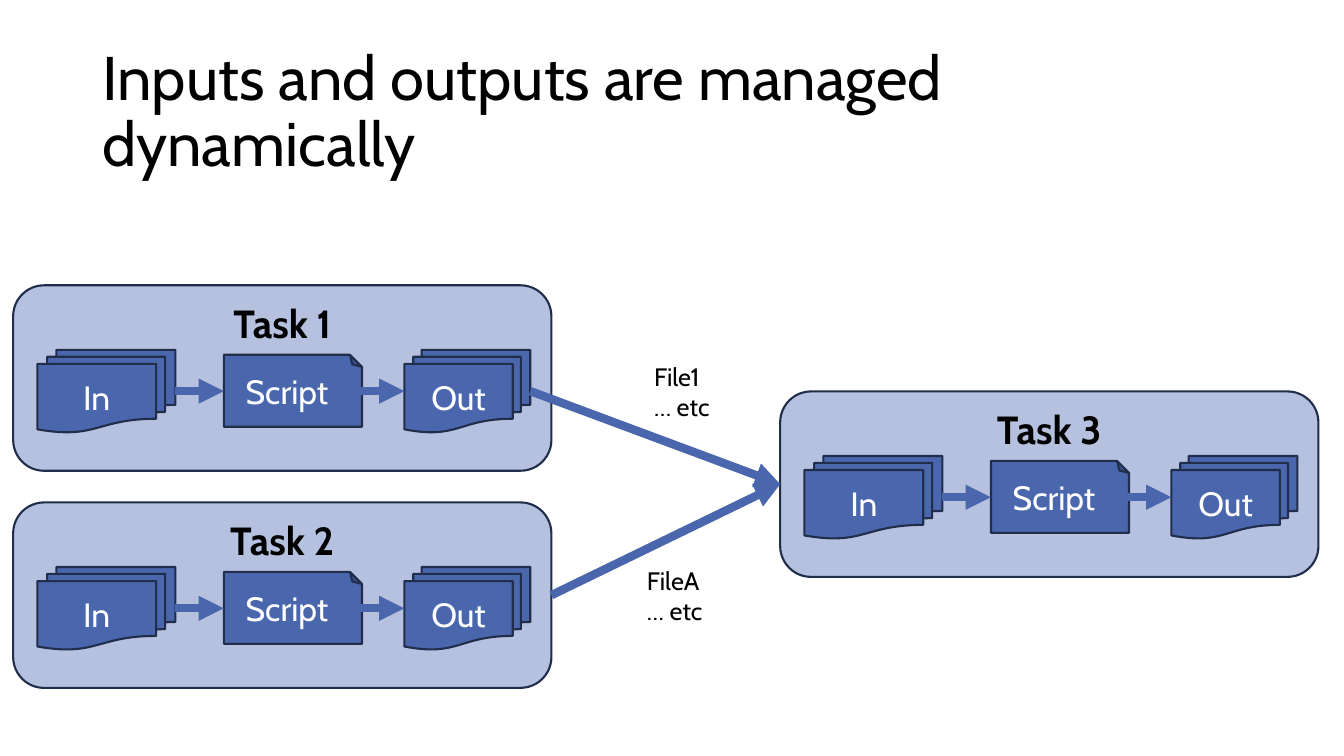
from lxml import etree
from pptx import Presentation
from pptx.dml.color import RGBColor
from pptx.enum import shapes, text
from pptx.oxml.ns import qn
from pptx.util import Pt

COLORS = {"panel": "B5C1DF", "blue": "4A66AC", "edge": "202D4B",
          "white": "FFFFFF", "black": "000000"}
SHAPE = shapes.MSO_SHAPE
ANCHOR = text.MSO_ANCHOR
CENTER = text.PP_ALIGN.CENTER
LEFT, RIGHT = 1, 3  # connection sites

PANEL_W, PANEL_H = 384.5, 132.5
ROW_Y = 75.6  # centre of a task's in/script/out row, from the panel top


def rgb(name):
    return RGBColor.from_string(COLORS[name])


def write(tf, lines, size, color="black", align=None, **formats):
    for i, line in enumerate(lines):
        p = tf.paragraphs[0] if i == 0 else tf.add_paragraph()
        p.alignment = align
        r = p.add_run()
        r.text = line
        r.font.color.rgb = rgb(color)
        for name, value in {"name": "Cabin", "size": Pt(size), **formats}.items():
            setattr(r.font, name, value)


def add_box(s, kind, box, label, fill="blue", size=24, color="white",
            anchor=ANCHOR.MIDDLE, **formats):
    sp = s.shapes.add_shape(kind, *map(Pt, box))
    sp.shadow.inherit = False
    sp.fill.solid()
    sp.fill.fore_color.rgb = rgb(fill)
    sp.line.color.rgb = rgb("edge")
    sp.line.width = Pt(1.5)
    tf = sp.text_frame
    tf.word_wrap = True
    tf.vertical_anchor = anchor
    write(tf, [label], size, color, CENTER, **formats)
    return sp


def add_arrow(s, start, end, source=None, target=None):
    c = s.shapes.add_connector(shapes.MSO_CONNECTOR.STRAIGHT, *map(Pt, start + end))
    if source is not None:
        c.begin_connect(source, RIGHT)
    if target is not None:
        c.end_connect(target, LEFT)
    c.line.color.rgb = rgb("blue")
    c.line.width = Pt(6)
    etree.SubElement(c.line._get_or_add_ln(), qn("a:tailEnd"), type="triangle")
    etree.SubElement(c._element.spPr, qn("a:effectLst"))


def add_text(s, box, lines, size, wrap=True, anchor=ANCHOR.TOP):
    tf = s.shapes.add_textbox(*map(Pt, box)).text_frame
    tf.word_wrap = wrap
    tf.vertical_anchor = anchor
    write(tf, lines, size)
    return tf


def add_task(s, x, y, name):
    """Draw a panel holding In -> Script -> Out; return the panel and Out."""
    panel = add_box(s, SHAPE.ROUNDED_RECTANGLE, (x, y, PANEL_W, PANEL_H), name,
                    "panel", 28, "black", ANCHOR.TOP, bold=True)
    # Page turned on its side, with the text turned back upright
    script = add_box(s, SHAPE.FOLDED_CORNER, (x + 174.2, y + 26, 51.4, 98.6), "Script")
    script.rotation = 270
    script.text_frame._txBody.bodyPr.set("vert", "vert")
    files_in = add_box(s, SHAPE.FLOWCHART_MULTIDOCUMENT,
                       (x + 17.3, y + 46.1, 98.6, 59), "In")
    files_out = add_box(s, SHAPE.FLOWCHART_MULTIDOCUMENT,
                        (x + 279.4, y + 46.1, 90, 59), "Out")
    row = y + ROW_Y
    add_arrow(s, (x + 115.9, row), (x + 150.5, row), source=files_in)
    add_arrow(s, (x + 242, row), (x + 279.4, row), target=files_out)
    return panel, files_out


def main():
    prs = Presentation()
    prs.slide_width, prs.slide_height = Pt(960), Pt(540)
    s = prs.slides.add_slide(prs.slide_layouts[6])

    # Tasks
    _, out1 = add_task(s, 9.4, 203.8, "Task 1")
    panel2, _ = add_task(s, 9.4, 358.9, "Task 2")
    panel3, _ = add_task(s, 557.3, 279.6, "Task 3")

    # Both first tasks feed the third
    for source in (out1, panel2):
        add_arrow(s, (0, 0), (0, 0), source, panel3)

    # File labels
    for x, y, name in ((460.1, 254.2, "File1"), (455, 399.9, "FileA")):
        add_text(s, (x, y, 58.3, 51), [name, "… etc"], 18, wrap=False)

    # Title
    title = add_text(s, (66, 28.75, 828, 104.4),
                     ["Inputs and outputs are managed dynamically"], 44,
                     anchor=ANCHOR.MIDDLE)
    title.paragraphs[0].line_spacing = 0.9

    prs.save("out.pptx")


if __name__ == "__main__":
    main()
